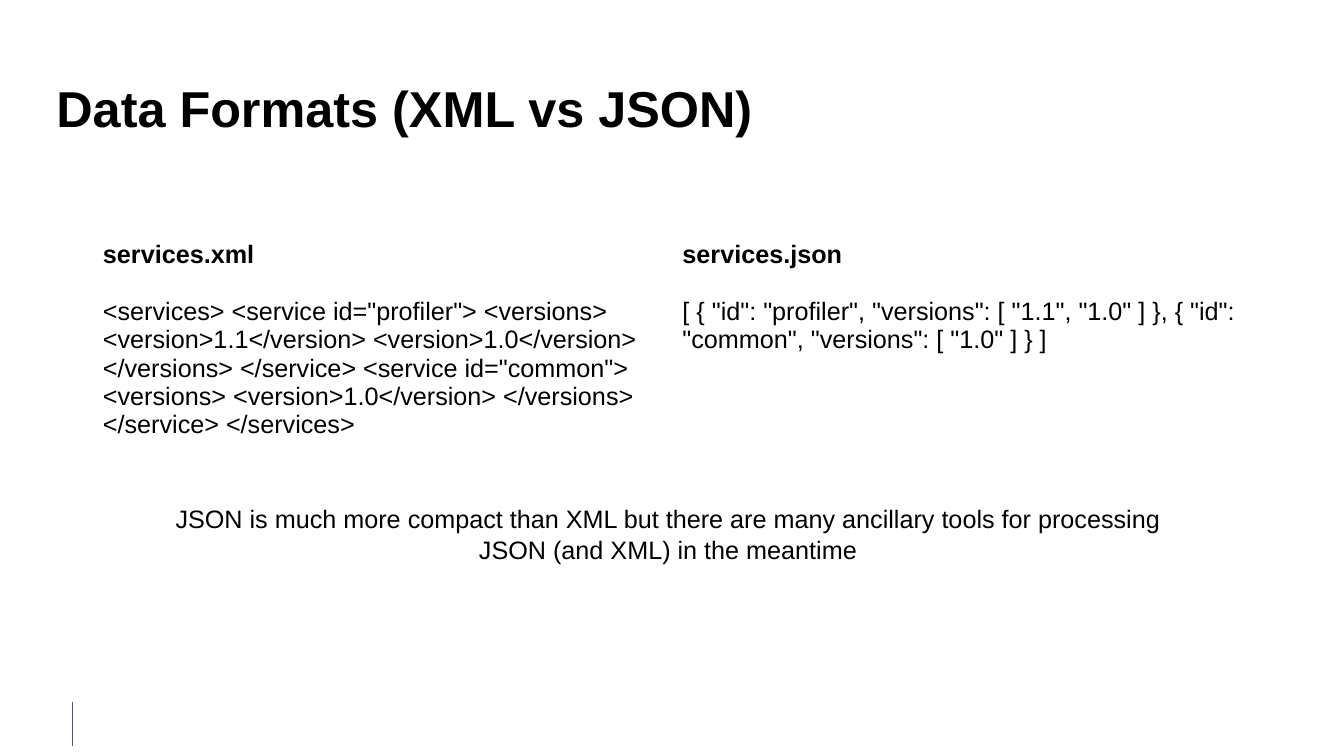
from dataclasses import dataclass

from lxml import etree
from pptx import Presentation
from pptx.dml.color import RGBColor
from pptx.enum.shapes import MSO_CONNECTOR
from pptx.enum.text import MSO_ANCHOR, MSO_AUTO_SIZE, PP_ALIGN
from pptx.oxml.ns import qn
from pptx.util import Cm, Pt

STRAIGHT = MSO_CONNECTOR.STRAIGHT
MIDDLE, TOP = MSO_ANCHOR.MIDDLE, MSO_ANCHOR.TOP
LEFT, CENTER = PP_ALIGN.LEFT, PP_ALIGN.CENTER
NO_FIT = MSO_AUTO_SIZE.NONE


@dataclass(frozen=True)
class Theme:
    """Colours, font and type sizes of the slide."""
    ink: RGBColor = RGBColor(0, 0, 0)
    mark: RGBColor = RGBColor(0x4E, 0x4F, 0xA9)
    font: str = "Arial"
    head: Pt = Pt(36)
    body: Pt = Pt(18)
    rule: Pt = Pt(1)


THEME = Theme()

TITLE = "Data Formats (XML vs JSON)"
NAMES = ["services.xml", "services.json"]
CODE = [
    '<services> <service id="profiler"> <versions> <version>1.1</version> '
    '<version>1.0</version> </versions> </service> <service id="common"> '
    '<versions> <version>1.0</version> </versions> </service> </services>',
    '[ { "id": "profiler", "versions": [ "1.1", "1.0" ] }, '
    '{ "id": "common", "versions": [ "1.0" ] } ]',
]
NOTE = ("JSON is much more compact than XML but there are many ancillary tools "
        "for processing JSON (and XML) in the meantime")


def apply(item, values):
    """Set each attribute of item from a dict of values."""
    for name, value in values.items():
        setattr(item, name, value)


def write(frame, text, size, bold=False, align=LEFT):
    """Put one formatted paragraph in a text frame and return it."""
    para = frame.paragraphs[0]
    para.alignment = align
    run = para.add_run()
    run.text = text
    apply(run.font, {"name": THEME.font, "size": size, "bold": bold})
    run.font.color.rgb = THEME.ink
    return para


def add_title(slide, left, top, width, height):
    """Move and fill the title placeholder."""
    title = slide.shapes.title
    apply(title, {"left": left, "top": top, "width": width, "height": height})
    frame = title.text_frame
    apply(frame, {"auto_size": NO_FIT, "word_wrap": True,
                  "vertical_anchor": MIDDLE, "margin_left": 0,
                  "margin_right": 0, "margin_top": 0, "margin_bottom": 0})
    write(frame, TITLE, THEME.head, True).line_spacing = 0.9


def add_formats(slide, left, top, width, height):
    """Place the table of file names above their code."""
    table = slide.shapes.add_table(2, len(NAMES), left, top, width, height).table
    apply(table, {"first_row": False, "horz_banding": False})
    table.rows[0].height = int(height * 0.2)
    table.rows[1].height = height - table.rows[0].height
    for row, texts in enumerate([NAMES, CODE]):
        for col, text in enumerate(texts):
            cell = table.cell(row, col)
            cell.fill.background()
            cell.vertical_anchor = TOP if row else MIDDLE
            write(cell.text_frame, text, THEME.body, row == 0)


def add_note(slide, left, top, width, height):
    """Place the centred closing remark."""
    frame = slide.shapes.add_textbox(left, top, width, height).text_frame
    frame.word_wrap = True
    write(frame, NOTE, THEME.body, align=CENTER)


def add_mark(slide, left, top, height):
    """Draw the short upright rule at the foot."""
    mark = slide.shapes.add_connector(STRAIGHT, left, top, left, top + height)
    mark.line.color.rgb = THEME.mark
    mark.line.width = THEME.rule
    etree.SubElement(mark._element.spPr, qn("a:effectLst"))


def main():
    """Build the slide and save it."""
    deck = Presentation()
    apply(deck, {"slide_width": Cm(33.87), "slide_height": Cm(19.05)})
    slide = deck.slides.add_slide(deck.slide_layouts[5])
    add_mark(slide, Cm(1.82), Cm(17.7), Cm(1.1))
    add_title(slide, Cm(1.42), Cm(1.52), Cm(30.86), Cm(2.54))
    add_formats(slide, Cm(2.34), Cm(5.44), Cm(29.21), Cm(9.7))
    add_note(slide, Cm(4.01), Cm(12.57), Cm(25.65), Cm(2.57))
    deck.save("out.pptx")


if __name__ == "__main__":
    main()
